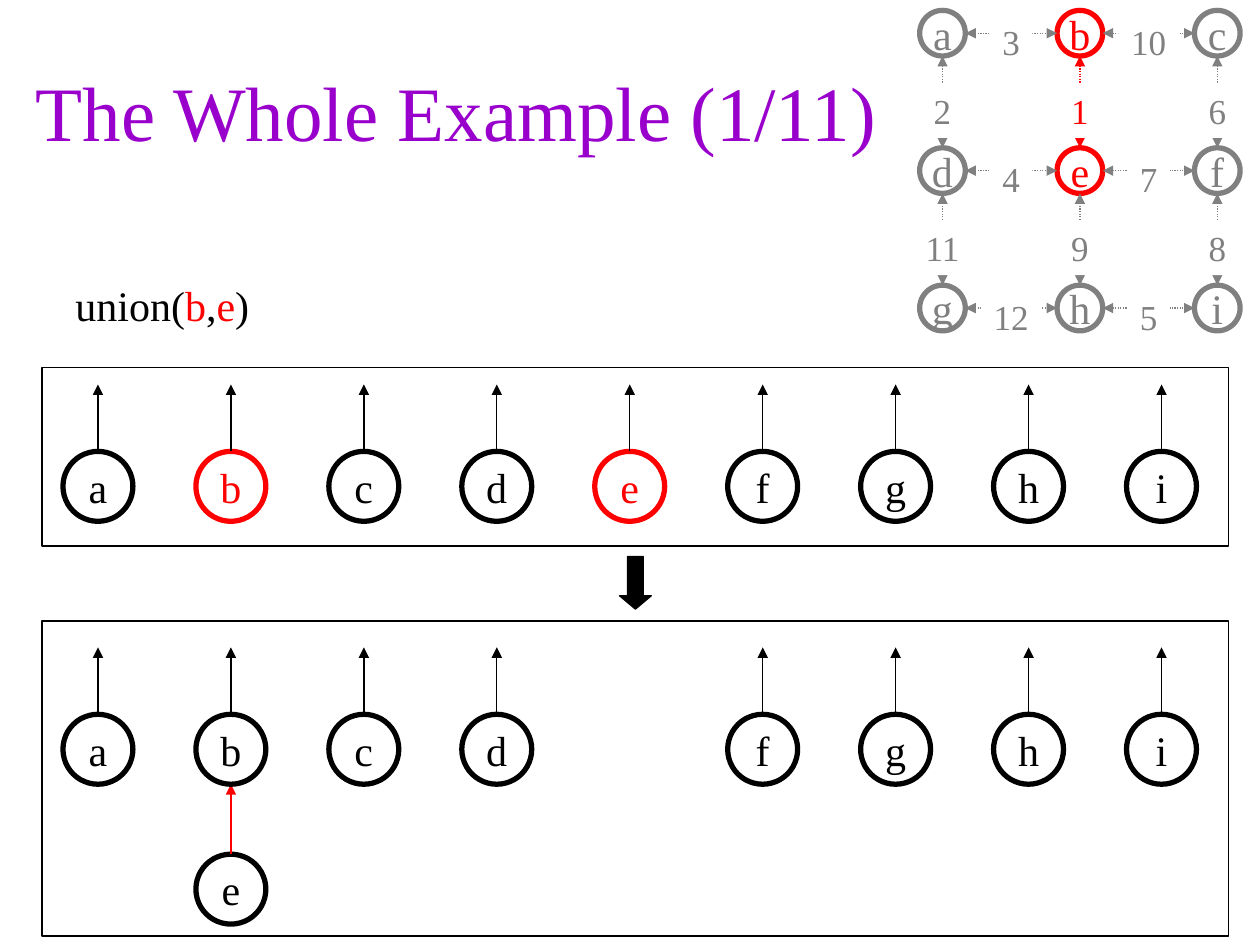
"""Build the union-find slide for the step union(b,e)."""
from dataclasses import dataclass

from lxml.etree import SubElement
from pptx import Presentation
from pptx.dml.color import RGBColor as Color
from pptx.enum.dml import MSO_LINE as Dash
from pptx.enum.shapes import MSO_CONNECTOR as Connector, MSO_SHAPE as Preset
from pptx.enum.text import MSO_ANCHOR as Anchor, MSO_AUTO_SIZE as AutoSize, PP_ALIGN as Align
from pptx.oxml.ns import qn
from pptx.util import Cm, Pt


@dataclass(frozen=True)
class Theme:
    """Colours, font and sizes of the slide."""
    font: str = "Times New Roman"
    title: Color = Color(0x99, 0x00, 0xCC)
    ink: Color = Color(0x00, 0x00, 0x00)
    active: Color = Color(0xFF, 0x00, 0x00)
    muted: Color = Color(0x80, 0x80, 0x80)
    paper: Color = Color(0xFF, 0xFF, 0xFF)
    title_size: int = 44
    node_size: int = 24
    weight_size: int = 20
    ring: float = 3
    hairline: float = 0.75


THEME = Theme()
LETTERS = "abcdefghi"
MERGED = "be"
GRID = 3
ACROSS = (("3", "10"), ("4", "7"), ("12", "5"))
DOWN = (("2", "1", "6"), ("11", "9", "8"))
NODE, NODE_LEFT, NODE_PITCH, POINTER = 1.41, 1.27, 2.68, 1.35
VERTEX, GRAPH_LEFT, GRAPH_TOP, GRAPH_PITCH = 0.92, 18.54, 0.21, 2.77


def write(box, spans, size, align=Align.CENTER, anchor=Anchor.MIDDLE, wrap=False, grow=False):
    """Write (text, colour) spans as the one paragraph of a box."""
    frame = box.text_frame
    frame.word_wrap = wrap
    frame.vertical_anchor = anchor
    frame.auto_size = AutoSize.SHAPE_TO_FIT_TEXT if grow else AutoSize.NONE
    para = frame.paragraphs[0]
    para.alignment = align
    for text, color in spans:
        span = para.add_run()
        span.text = text
        span.font.name = THEME.font
        span.font.size = Pt(size)
        span.font.color.rgb = color


def add_text(page, left, top, width, height, spans, size, **layout):
    """Add a text box."""
    box = page.shapes.add_textbox(Cm(left), Cm(top), Cm(width), Cm(height))
    write(box, spans, size, **layout)


def add_outline(page, preset, left, top, width, height, line=None, weight=THEME.hairline, fill=None):
    """Add a preset shape with an optional line and fill."""
    shape = page.shapes.add_shape(preset, Cm(left), Cm(top), Cm(width), Cm(height))
    shape.shadow.inherit = False
    if fill is None:
        shape.fill.background()
    else:
        shape.fill.solid()
        shape.fill.fore_color.rgb = fill
    if line is None:
        shape.line.fill.background()
    else:
        shape.line.color.rgb = line
        shape.line.width = Pt(weight)
    return shape


def add_node(page, letter, left, top, size, color):
    """Add a lettered ring."""
    node = add_outline(page, Preset.OVAL, left, top, size, size, line=color, weight=THEME.ring)
    write(node, [(letter, color)], THEME.node_size)
    return node


def add_arrow(page, start, end, color, dotted=False):
    """Add an arrow, dotted and two-headed for graph edges."""
    arrow = page.shapes.add_connector(Connector.STRAIGHT, *map(Cm, start + end))
    arrow.line.color.rgb = color
    arrow.line.width = Pt(THEME.hairline)
    if dotted:
        arrow.line.dash_style = Dash.ROUND_DOT
    line = arrow.line._get_or_add_ln()
    for tag in ("a:headEnd", "a:tailEnd") if dotted else ("a:tailEnd",):
        SubElement(line, qn(tag)).set("type", "triangle")
    SubElement(arrow._element.spPr, qn("a:effectLst"))
    return arrow


def add_pointer(page, node, center, top, length, color):
    """Add the upward parent pointer of a node."""
    arrow = add_arrow(page, (center, top), (center, top - length), color)
    arrow.begin_connect(node, 0)


def add_forest(page, letters, top, active=""):
    """Add root nodes in their alphabetical slots, with pointers."""
    for letter in letters:
        left = NODE_LEFT + LETTERS.index(letter) * NODE_PITCH
        color = THEME.active if letter in active else THEME.ink
        node = add_node(page, letter, left, top, NODE, color)
        add_pointer(page, node, left + NODE / 2, top, POINTER, THEME.ink)


def add_child(page, letter, parent, top, parent_top):
    """Add a node below its parent and point it there."""
    left = NODE_LEFT + LETTERS.index(parent) * NODE_PITCH
    node = add_node(page, letter, left, top, NODE, THEME.ink)
    add_pointer(page, node, left + NODE / 2, top, top - parent_top - NODE, THEME.active)


def edge_color(*ends):
    """Pick the active colour when every end is being merged."""
    return THEME.active if all(end in MERGED for end in ends) else THEME.muted


def add_weight(page, text, center, middle, color):
    """Add an edge weight on a plate centred on its edge."""
    width, height, drop = (0.86 if len(text) == 1 else 1.22), 1.11, 0.17
    plate = add_outline(page, Preset.RECTANGLE, center - width / 2, middle - height / 2 + drop,
                        width, height, fill=THEME.paper)
    write(plate, [(text, color)], THEME.weight_size, anchor=Anchor.TOP, grow=True)


def add_graph(page):
    """Add the weighted grid graph."""
    half, middle = VERTEX / 2, GRAPH_PITCH / 2
    nodes, centers = {}, {}
    for index, letter in enumerate(LETTERS):
        row, column = divmod(index, GRID)
        left, top = GRAPH_LEFT + column * GRAPH_PITCH, GRAPH_TOP + row * GRAPH_PITCH
        nodes[letter] = add_node(page, letter, left, top, VERTEX, edge_color(letter))
        centers[letter] = (left + half, top + half)
    weights = []
    for row, texts in enumerate(ACROSS):
        for column, text in enumerate(texts):
            first, second = LETTERS[row * GRID + column:][:2]
            (x, y), (end, _) = centers[first], centers[second]
            color = edge_color(first, second)
            add_arrow(page, (x + half, y), (end - half, y), color, dotted=True)
            weights.append((text, x + middle, y, color))
    for row, texts in enumerate(DOWN):
        for column, text in enumerate(texts):
            first, second = LETTERS[row * GRID + column::GRID][:2]
            (x, y), (_, end) = centers[first], centers[second]
            color = edge_color(first, second)
            arrow = add_arrow(page, (x, y + half), (x, end - half), color, dotted=True)
            arrow.end_connect(nodes[second], 0)
            weights.append((text, x, y + middle, color))
    for weight in weights:
        add_weight(page, *weight)


def main():
    """Build and save the slide."""
    deck = Presentation()
    deck.slide_width, deck.slide_height = Cm(25.4), Cm(19.05)
    page = deck.slides.add_slide(deck.slide_layouts[6])
    before, after = 9.1, 14.4

    add_text(page, 0.21, 0.64, 17.98, 3.18, [("The Whole Example (1/11)", THEME.title)],
             THEME.title_size, wrap=True)
    add_child(page, "e", "b", 17.22, after)
    add_forest(page, "abcdfghi", after)
    call = [("union(", THEME.ink), ("b", THEME.active), (",", THEME.ink),
            ("e", THEME.active), (")", THEME.ink)]
    add_text(page, 1.27, 5.5, 4.01, 1.28, call, THEME.node_size,
             align=Align.LEFT, anchor=Anchor.TOP, grow=True)
    add_forest(page, LETTERS, before, active=MERGED)
    step = add_outline(page, Preset.DOWN_ARROW, 12.49, 11.22, 0.64, 1.06,
                       line=THEME.ink, fill=THEME.ink)
    step.adjustments[1] = 0.42
    add_graph(page)
    for top, height in ((7.41, 3.6), (12.52, 6.35)):
        add_outline(page, Preset.RECTANGLE, 0.85, top, 23.92, height, line=THEME.ink)
    deck.save("out.pptx")


if __name__ == "__main__":
    main()
